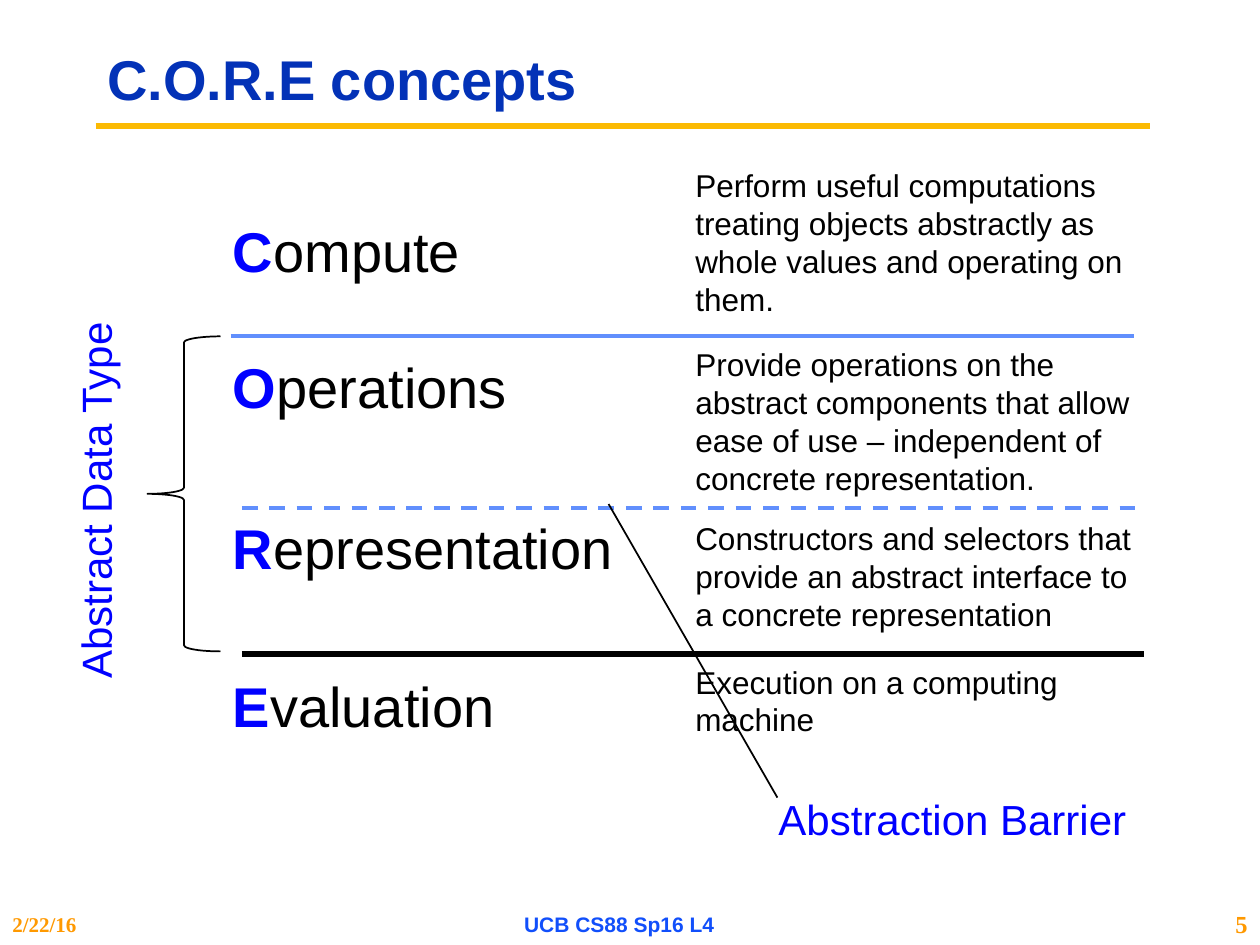
from dataclasses import dataclass

from lxml.etree import SubElement
from pptx import Presentation
from pptx.dml.color import RGBColor
from pptx.enum.dml import MSO_LINE
from pptx.enum.shapes import MSO_CONNECTOR, MSO_SHAPE
from pptx.enum.text import MSO_ANCHOR, PP_ALIGN
from pptx.oxml.ns import qn
from pptx.util import Inches, Pt


@dataclass(frozen=True)
class Theme:
    """Colours, fonts and type sizes of the slide."""
    title: str = "0332B7"
    gold: str = "FBBA03"
    accent: str = "0000FF"
    rule: str = "618FFD"
    text: str = "000000"
    orange: str = "FF9900"
    footer: str = "114FFB"
    sans: str = "Arial"
    serif: str = "Times New Roman"
    heading_size: int = 32
    label_size: int = 24
    body_size: int = 18
    number_size: int = 14
    footer_size: int = 12


THEME = Theme()

# initial, rest of the word, word top, description left/top/width/height
CONCEPTS = [
    ("C", "ompute", 1.67, 2.02, 1.27, 4, 1.31,
     "Perform useful computations treating objects abstractly as whole "
     "values and operating on them."),
    ("O", "perations", 2.75, 2.4, 2.69, 3.83, 1.31,
     "Provide operations on the abstract components that allow ease of use "
     "\u2013 independent of concrete representation."),
    ("R", "epresentation", 4.03, 3.25, 4.07, 3.83, 1.01,
     "Constructors and selectors that provide an abstract interface to a "
     "concrete representation"),
    ("E", "valuation", 5.28, 2.3, 5.21, 3.83, 0.71,
     "Execution on a computing machine"),
]


def add_run(paragraph, text, size, color, bold=False, font=THEME.sans):
    """Append one formatted run to a paragraph."""
    run = paragraph.add_run()
    run.text = text
    run.font.name = font
    run.font.size = Pt(size)
    run.font.bold = bold
    run.font.color.rgb = RGBColor.from_string(color)


def add_text(slide, box, wrap=True, anchor=MSO_ANCHOR.TOP, align=PP_ALIGN.LEFT):
    """Add a text box and return it with its first paragraph."""
    shape = slide.shapes.add_textbox(*map(Inches, box))
    frame = shape.text_frame
    frame.word_wrap = wrap
    frame.vertical_anchor = anchor
    paragraph = frame.paragraphs[0]
    paragraph.alignment = align
    return shape, paragraph


def add_line(slide, start, end, color, width, dash=None):
    """Draw a straight line without a shadow."""
    line = slide.shapes.add_connector(
        MSO_CONNECTOR.STRAIGHT, *map(Inches, start + end))
    line.line.color.rgb = RGBColor.from_string(color)
    line.line.width = Pt(width)
    if dash:
        line.line.dash_style = dash
    SubElement(line._element.spPr, qn("a:effectLst"))


def add_title(slide, text):
    """Place the title placeholder above its gold rule."""
    add_line(slide, (0.76, 1), (9.13, 1), THEME.gold, 3.75)
    title = slide.shapes.title
    title.left, title.top, title.width, title.height = map(
        Inches, (0.75, 0.25, 8.42, 0.81))
    title.text_frame.vertical_anchor = MSO_ANCHOR.MIDDLE
    paragraph = title.text_frame.paragraphs[0]
    paragraph.alignment = PP_ALIGN.LEFT
    paragraph.line_spacing = 0.9
    add_run(paragraph, text, THEME.heading_size, THEME.title, bold=True)


def add_footer(slide):
    """Add the date, the course name and the slide number."""
    items = [
        ("2/22/16", 0, 1.67, PP_ALIGN.LEFT, THEME.footer_size, THEME.orange, THEME.serif),
        ("UCB CS88 Sp16 L4", 3.33, 3.17, PP_ALIGN.CENTER, THEME.footer_size,
         THEME.footer, THEME.sans),
        ("5", 9.42, 0.58, PP_ALIGN.RIGHT, THEME.number_size, THEME.orange, THEME.serif),
    ]
    for text, left, width, align, size, color, font in items:
        _, paragraph = add_text(slide, (left, 7.17, width, 0.33),
                                anchor=MSO_ANCHOR.MIDDLE, align=align)
        add_run(paragraph, text, size, color, bold=True, font=font)


def add_concept(slide, initial, rest, word_top, word_width, top, width, height,
                description):
    """Add a concept word with its highlighted initial and its description."""
    _, word = add_text(slide, (1.75, word_top, word_width, 0.64), wrap=False)
    add_run(word, initial, THEME.heading_size, THEME.accent, bold=True)
    add_run(word, rest, THEME.heading_size, THEME.text)
    _, paragraph = add_text(slide, (5.42, top, width, height))
    add_run(paragraph, description, THEME.body_size, THEME.text)


def add_label(slide, text, box, rotation=0):
    """Add a blue label, turned if asked."""
    shape, paragraph = add_text(slide, box, wrap=False)
    shape.rotation = rotation
    add_run(paragraph, text, THEME.label_size, THEME.accent)


def add_brace(slide, box):
    """Add the brace that groups the data type layers."""
    brace = slide.shapes.add_shape(MSO_SHAPE.LEFT_BRACE, *map(Inches, box))
    brace.shadow.inherit = False
    brace.fill.background()
    brace.line.color.rgb = RGBColor.from_string(THEME.text)
    brace.line.width = Pt(1)


def main():
    """Build and save the slide."""
    presentation = Presentation()
    presentation.slide_width, presentation.slide_height = Inches(10), Inches(7.5)
    slide = presentation.slides.add_slide(presentation.slide_layouts[5])

    add_title(slide, "C.O.R.E concepts")
    add_footer(slide)
    for concept in CONCEPTS:
        add_concept(slide, *concept)

    add_line(slide, (1.83, 2.67), (9, 2.67), THEME.rule, 2.25)
    add_line(slide, (1.92, 4.03), (9.08, 4.03), THEME.rule, 2.25, MSO_LINE.DASH)
    add_line(slide, (1.92, 5.19), (9.08, 5.19), THEME.text, 3)

    add_brace(slide, (1.17, 2.67, 0.58, 2.5))
    add_label(slide, "Abstract Data Type", (-0.78, 3.7, 3.07, 0.5), rotation=270)
    add_label(slide, "Abstraction Barrier", (6.08, 6.25, 3.01, 0.5))
    add_line(slide, (4.83, 4), (6.17, 6.33), THEME.text, 1)

    presentation.save("out.pptx")


main()
